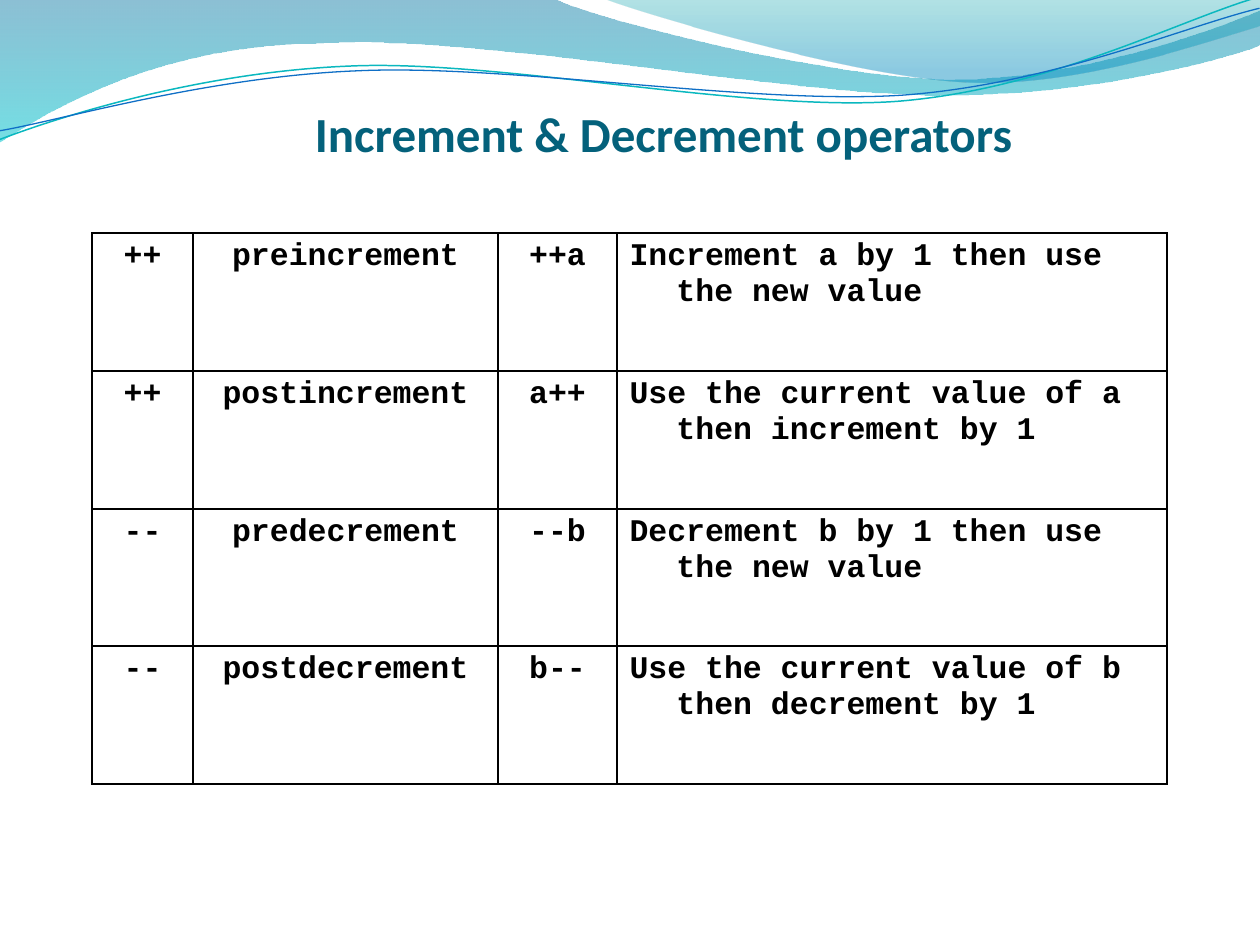
from pptx import Presentation
from pptx.dml.color import RGBColor as RGB
from pptx.enum.text import MSO_ANCHOR as ANCHOR, PP_ALIGN as ALIGN
from pptx.oxml import parse_xml
from pptx.oxml.ns import nsdecls, qn
from pptx.util import Emu, Pt
from lxml.etree import Element, SubElement

PX = 914400 // 126
BLACK = RGB(0x00, 0x00, 0x00)
TITLE = RGB(0x04, 0x61, 0x7B)
DEEP_BLUE = RGB(0x00, 0x74, 0xA1)
AQUA = RGB(0x00, 0xC6, 0xCF)
TEAL = RGB(0x00, 0xA1, 0xA9)
SKY = RGB(0x00, 0x8B, 0xBF)
LINE_TEAL = RGB(0x0A, 0xB8, 0xBF)
LINE_BLUE = RGB(0x0F, 0x6F, 0xC6)

BACK_WAVE = [(0, -1), (554, -1), (600, 21, 837, 79, 955, 79), (1075, 79, 1207, 33, 1260, 11),
             (1261, 45), (1239, 55, 1096, 96, 940, 95), (784, 95, 481, 35, 324, 43),
             (163, 44, 58, 105, -1, 142), (0, -1)]
FRONT_WAVE = [(604, -1), (641, 14, 859, 78, 969, 82), (1079, 87, 1211, 40, 1260, 26),
              (1260, 0), (604, -1)]
TEAL_CURVE = [(-3, 110), (58, 90, 199, 52, 350, 53), (499, 53, 745, 118, 896, 114),
              (1049, 109, 1184, 45, 1261, 27)]
BLUE_CURVE = [(-2, 101), (57, 94, 207, 57, 357, 58), (509, 58, 750, 111, 902, 108),
              (1052, 104, 1188, 52, 1262, 38)]

COLUMNS = [101, 305, 119, 550]
ROW_HEIGHTS = [138, 138, 137, 138]
ROWS = [
    ("++", "preincrement", "++a", "Increment a by 1 then use the new value"),
    ("++", "postincrement", "a++", "Use the current value of a then increment by 1"),
    ("--", "predecrement", "--b", "Decrement b by 1 then use the new value"),
    ("--", "postdecrement", "b--", "Use the current value of b then decrement by 1"),
]


def px(n):
    return Emu(n * PX)


class Deck:
    """Holds the fonts and the current slide, and draws each kind of element."""

    title_font = "Calibri"
    code_font = "Courier New"

    def __init__(self, width, height):
        self.prs = Presentation()
        self.prs.slide_width, self.prs.slide_height = px(width), px(height)
        self.s = self.prs.slides.add_slide(self.prs.slide_layouts[6])

    def outline(self, segments, close):
        points = [seg[i:i + 2] for seg in segments for i in range(0, len(seg), 2)]
        builder = self.s.shapes.build_freeform(*points[0], scale=float(PX))
        builder.add_line_segments(points[1:], close=close)
        sp = builder.convert_to_shape()
        sp.shadow.inherit = False
        steps = iter(list(sp._element.iter(qn("a:lnTo"))))
        for seg in segments[1:]:
            first = next(steps)
            if len(seg) == 6:
                curve = Element(qn("a:cubicBezTo"))
                first.addprevious(curve)
                for step in (first, next(steps), next(steps)):
                    curve.append(step[0])
                    step.getparent().remove(step)
        return sp

    def wave(self, segments, stops):
        sp = self.outline(segments, True)
        sp.line.fill.background()
        sp.fill.gradient()
        sp.fill.gradient_angle = 270
        for stop, (position, color, opacity) in zip(sp.fill.gradient_stops, stops):
            stop.position = position
            stop.color.rgb = color
        colors = list(sp._element.spPr.iter(qn("a:srgbClr")))
        for clr, (position, color, opacity) in zip(colors, stops):
            SubElement(clr, qn("a:alpha")).set("val", str(opacity * 1000))

    def curve(self, segments, color, width):
        sp = self.outline(segments, False)
        sp.rotation = 357.3
        sp.fill.background()
        sp.line.color.rgb = color
        sp.line.width = Pt(width)

    def run(self, p, text, font, size, color):
        r = p.add_run()
        r.text = text
        r.font.name, r.font.size, r.font.bold = font, Pt(size), True
        r.font.color.rgb = color

    def title(self, text, x, y, w, h, indent):
        tf = self.s.shapes.add_textbox(px(x), px(y), px(w), px(h)).text_frame
        tf.word_wrap = True
        tf.vertical_anchor = ANCHOR.BOTTOM
        tf.margin_left = px(indent)
        tf.margin_right = tf.margin_top = 0
        tf.margin_bottom = px(9)
        self.run(tf.paragraphs[0], text, self.title_font, 28, TITLE)

    def borders(self, cell):
        tc_pr = cell._tc.get_or_add_tcPr()
        for i, side in enumerate("LRTB"):
            tc_pr.insert(i, parse_xml(
                f'<a:ln{side} {nsdecls("a")} w="{Pt(1)}"><a:solidFill>'
                f'<a:srgbClr val="{BLACK}"/></a:solidFill></a:ln{side}>'))

    def table(self, rows, columns, heights, x, y):
        table = self.s.shapes.add_table(len(rows), len(columns), px(x), px(y),
                                        px(sum(columns)), px(sum(heights))).table
        table.first_row = table.horz_banding = False
        for column, width in zip(table.columns, columns):
            column.width = px(width)
        for i, (row, height) in enumerate(zip(rows, heights)):
            table.rows[i].height = px(height)
            for j, text in enumerate(row):
                cell = table.cell(i, j)
                cell.fill.background()
                self.borders(cell)
                p = cell.text_frame.paragraphs[0]
                p.alignment = ALIGN.LEFT if j == len(row) - 1 else ALIGN.CENTER
                p_pr = p._p.get_or_add_pPr()
                p_pr.set("marL", str(px(47)))
                p_pr.set("indent", str(px(-47)))
                self.run(p, text, self.code_font, 18, BLACK)


def main():
    deck = Deck(1260, 945)
    deck.wave(BACK_WAVE, [(0, DEEP_BLUE, 45), (1, AQUA, 55)])
    deck.wave(FRONT_WAVE, [(0, TEAL, 30), (0.8, SKY, 45)])
    deck.curve(TEAL_CURVE, LINE_TEAL, 0.85)
    deck.curve(BLUE_CURVE, LINE_BLUE, 0.75)
    deck.title("Increment & Decrement operators", 63, 95, 1134, 76, 252)
    deck.table(ROWS, COLUMNS, ROW_HEIGHTS, 92, 233)
    deck.prs.save("out.pptx")


if __name__ == "__main__":
    main()
